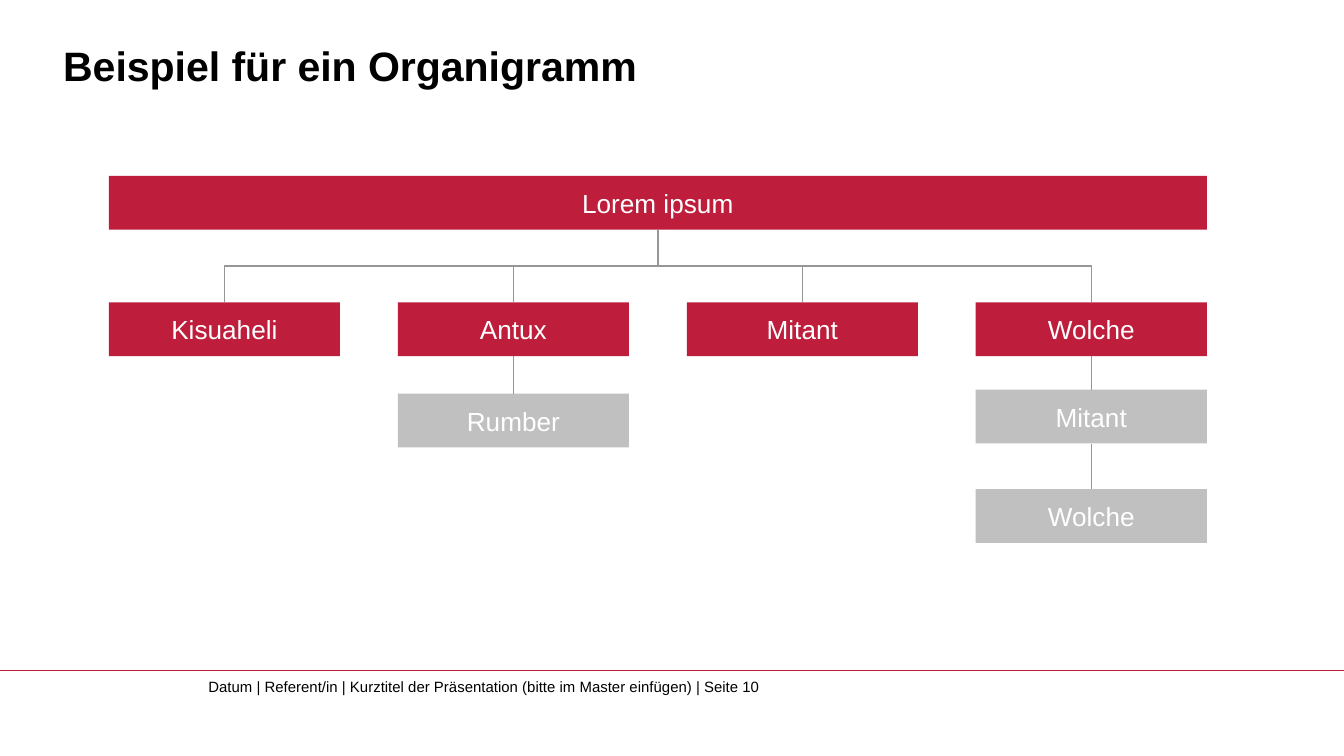
import pptx
import pptx.dml.color
import pptx.enum.shapes
import pptx.enum.text
import pptx.oxml
import pptx.oxml.ns
import pptx.util
from pptx.util import Inches

FONT = "Arial"
RED, GREY, LINE_GREY = "BE1E3C", "C0C0C0", "969696"
BLACK, WHITE = "000000", "FFFFFF"
CONNECTOR = pptx.enum.shapes.MSO_CONNECTOR
ALIGN = pptx.enum.text.PP_ALIGN
ANCHOR = pptx.enum.text.MSO_ANCHOR
TOP_SITE, BOTTOM_SITE = 0, 2
BOX_HEIGHT = 0.4


def color(value):
    return pptx.dml.color.RGBColor.from_string(value)


def write_text(shape, text, size=14, fill=WHITE, bold=False, align=ALIGN.LEFT,
               anchor=ANCHOR.TOP, space_before=0):
    frame = shape.text_frame
    frame.auto_size = pptx.enum.text.MSO_AUTO_SIZE.NONE
    frame.word_wrap = True
    frame.vertical_anchor = anchor
    frame.margin_left = frame.margin_right = 0
    frame.margin_top = frame.margin_bottom = 0
    paragraph = frame.paragraphs[0]
    paragraph.alignment = align
    paragraph.space_before = pptx.util.Pt(space_before)
    run = paragraph.add_run()
    run.text = text
    run.font.name = FONT
    run.font.size = pptx.util.Pt(size)
    run.font.bold = bold
    run.font.color.rgb = color(fill)


def style_line(connector, line_color):
    connector.line.color.rgb = color(line_color)
    connector.line.width = pptx.util.Pt(0.75)
    properties = connector.element.spPr
    properties.append(pptx.oxml.parse_xml(
        f'<a:effectLst {pptx.oxml.ns.nsdecls("a")}/>'))


def add_box(slide, text, left, top, width, fill):
    shape = slide.shapes.add_shape(
        pptx.enum.shapes.MSO_SHAPE.RECTANGLE,
        Inches(left), Inches(top), Inches(width), Inches(BOX_HEIGHT))
    shape.shadow.inherit = False
    shape.fill.solid()
    shape.fill.fore_color.rgb = color(fill)
    shape.line.fill.background()
    write_text(shape, text, align=ALIGN.CENTER, anchor=ANCHOR.MIDDLE, space_before=1.4)
    return shape


def connect(slide, parent, child, kind=CONNECTOR.STRAIGHT):
    connector = slide.shapes.add_connector(kind, 0, 0, 0, 0)
    connector.begin_connect(parent, BOTTOM_SITE)
    connector.end_connect(child, TOP_SITE)
    style_line(connector, LINE_GREY)
    return connector


def connect_bent(slide, parent, child):
    connector = connect(slide, parent, child, CONNECTOR.ELBOW)
    start_x = parent.left + parent.width // 2
    end_x = child.left + child.width // 2
    start_y, end_y = parent.top + parent.height, child.top
    drop, reach = end_y - start_y, abs(end_x - start_x)
    connector.left = (start_x + end_x - drop) // 2
    connector.top = (start_y + end_y - reach) // 2
    connector.width, connector.height = drop, reach
    goes_right = end_x > start_x
    transform = connector.element.spPr.find(pptx.oxml.ns.qn("a:xfrm"))
    transform.set("rot", str((270 if goes_right else 90) * 60000))
    transform.set("flipH", "1" if goes_right else "0")
    transform.set("flipV", "0")


def add_title(slide, text, left, top, width, height):
    title = slide.shapes.title
    title.left, title.top = Inches(left), Inches(top)
    title.width, title.height = Inches(width), Inches(height)
    write_text(title, text, size=22, fill=BLACK, bold=True, anchor=ANCHOR.BOTTOM)


def add_organisation_chart(slide, head, branches, left, top, width):
    box_width = 1.72
    pitch = (width - box_width) / (len(branches) - 1)
    branch_top = top + 0.94
    head_box = add_box(slide, head, left, top, width, RED)
    for index, (name, members) in enumerate(branches):
        branch_left = left + index * pitch
        parent = add_box(slide, name, branch_left, branch_top, box_width, RED)
        connect_bent(slide, head_box, parent)
        for member, offset in members:
            child = add_box(slide, member, branch_left, branch_top + offset,
                            box_width, GREY)
            connect(slide, parent, child)
            parent = child


def add_footer(slide, text, left, top, width):
    rule = slide.shapes.add_connector(
        CONNECTOR.STRAIGHT, Inches(left), Inches(top), Inches(left + width), Inches(top))
    style_line(rule, RED)
    footer = slide.shapes.add_textbox(
        Inches(left + 1.55), Inches(top + 0.05), Inches(4.87), Inches(0.27))
    write_text(footer, text, size=8, fill=BLACK)


def main():
    presentation = pptx.Presentation()
    presentation.slide_width = Inches(10)
    presentation.slide_height = presentation.slide_width * 9 // 16
    slide = presentation.slides.add_slide(presentation.slide_layouts[5])
    add_footer(
        slide,
        "Datum | Referent/in | Kurztitel der Präsentation (bitte im Master einfügen) | Seite 10",
        0, 4.99, 10)
    add_title(slide, "Beispiel für ein Organigramm", 0.47, 0.09, 9.16, 0.58)
    branches = [
        ("Kisuaheli", []),
        ("Antux", [("Rumber", 0.68)]),
        ("Mitant", []),
        ("Wolche", [("Mitant", 0.65), ("Wolche", 1.39)]),
    ]
    add_organisation_chart(slide, "Lorem ipsum", branches, 0.81, 1.31, 8.17)
    presentation.save("out.pptx")


if __name__ == "__main__":
    main()
